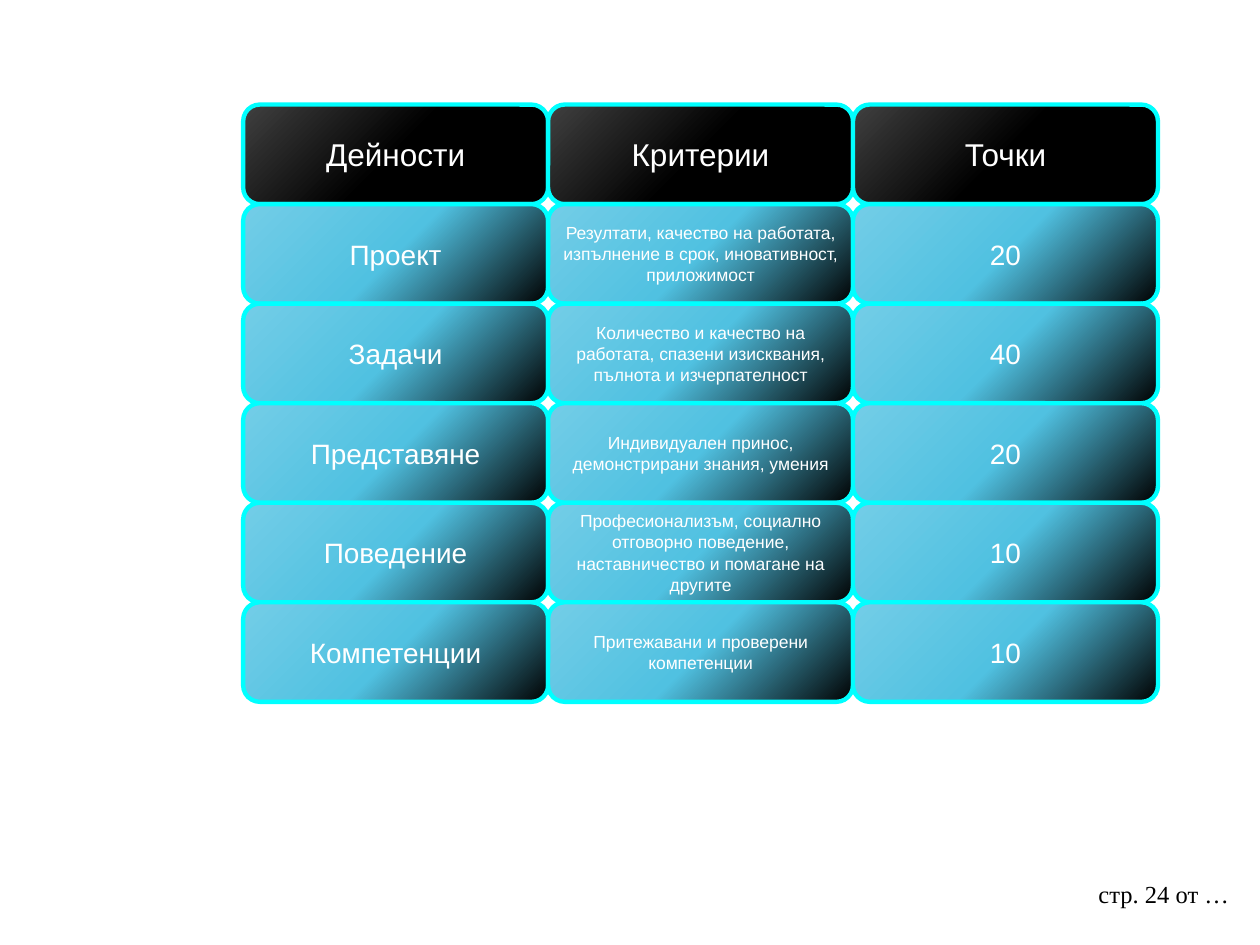
from pptx import Presentation
from pptx.dml.color import RGBColor
from pptx.enum.shapes import MSO_SHAPE
from pptx.enum.text import MSO_ANCHOR, PP_ALIGN
from pptx.oxml import parse_xml
from pptx.oxml.ns import nsdecls
from pptx.util import Emu, Pt

ROUNDED = MSO_SHAPE.ROUNDED_RECTANGLE
MIDDLE, TOP = MSO_ANCHOR.MIDDLE, MSO_ANCHOR.TOP
CENTER, LEFT = PP_ALIGN.CENTER, PP_ALIGN.LEFT

HEADINGS = ("Дейности", "Критерии", "Точки")
ACTIVITIES = [
    ("Проект", "Резултати, качество на работата, изпълнение в срок, иновативност, приложимост", "20"),
    ("Задачи", "Количество и качество на работата, спазени изисквания, пълнота и изчерпателност", "40"),
    ("Представяне", "Индивидуален принос, демонстрирани знания, умения", "20"),
    ("Поведение", "Професионализъм, социално отговорно поведение, наставничество и помагане на другите", "10"),
    ("Компетенции", "Притежавани и проверени компетенции", "10"),
]
PAGE_LABEL = "стр. 24 от …"

COLORS = {"black": "000000", "gray": "404040", "blue": "50C1E1",
          "light": "73CDE7", "cyan": "00FFFF", "white": "FFFFFF"}
HEADING_STOPS = ("black", "black", "gray")
BODY_STOPS = ("black", "blue", "light")
HEADING_SIZES = (18, 18, 18)
BODY_SIZES = (16, 10, 16)

PX_PER_INCH = 100
GRID_LEFT, GRID_TOP = 193, 83
CELL_WIDTH, CELL_HEIGHT = 242, 79
CELL_INSET = 8


def px(value):
    return Emu(value * 914400 // PX_PER_INCH)


def color(name):
    return RGBColor.from_string(COLORS[name])


def write(box, text, anchor, align, size, font, ink):
    frame = box.text_frame
    frame.word_wrap = True
    frame.vertical_anchor = anchor
    para = frame.paragraphs[0]
    para.alignment = align
    span = para.add_run()
    span.text = text
    for name, value in {"size": Pt(size), "name": font}.items():
        setattr(span.font, name, value)
    span.font.color.rgb = color(ink)


def fill_gradient(box, stops):
    marks = "".join(
        f'<a:gs pos="{index * 50000}"><a:srgbClr val="{COLORS[name]}"/></a:gs>'
        for index, name in enumerate(stops))
    gradient = parse_xml(
        f'<a:gradFill {nsdecls("a")} rotWithShape="1"><a:gsLst>{marks}</a:gsLst>'
        '<a:lin ang="13500000" scaled="0"/></a:gradFill>')
    box._element.spPr.find("{*}prstGeom").addnext(gradient)


def add_cell(page, row, column, text, stops, size):
    box = page.shapes.add_shape(
        ROUNDED, px(GRID_LEFT + column * CELL_WIDTH), px(GRID_TOP + row * CELL_HEIGHT),
        px(CELL_WIDTH), px(CELL_HEIGHT))
    box.shadow.inherit = False
    fill_gradient(box, stops)
    box.line.color.rgb = color("cyan")
    box.line.width = Pt(2.5)
    box.text_frame.margin_left = box.text_frame.margin_right = px(CELL_INSET)
    write(box, text, MIDDLE, CENTER, size, "Arial", "white")


def main():
    deck = Presentation()
    deck.slide_width, deck.slide_height = px(1000), px(750)
    page = deck.slides.add_slide(deck.slide_layouts[6])

    label = page.shapes.add_textbox(px(862), px(693), px(130), px(52))
    write(label, PAGE_LABEL, TOP, LEFT, 14, "Times New Roman", "black")

    for row, texts in enumerate([HEADINGS, *ACTIVITIES]):
        stops, sizes = (BODY_STOPS, BODY_SIZES) if row else (HEADING_STOPS, HEADING_SIZES)
        for column, (text, size) in enumerate(zip(texts, sizes)):
            add_cell(page, row, column, text, stops, size)

    deck.save("out.pptx")


if __name__ == "__main__":
    main()
